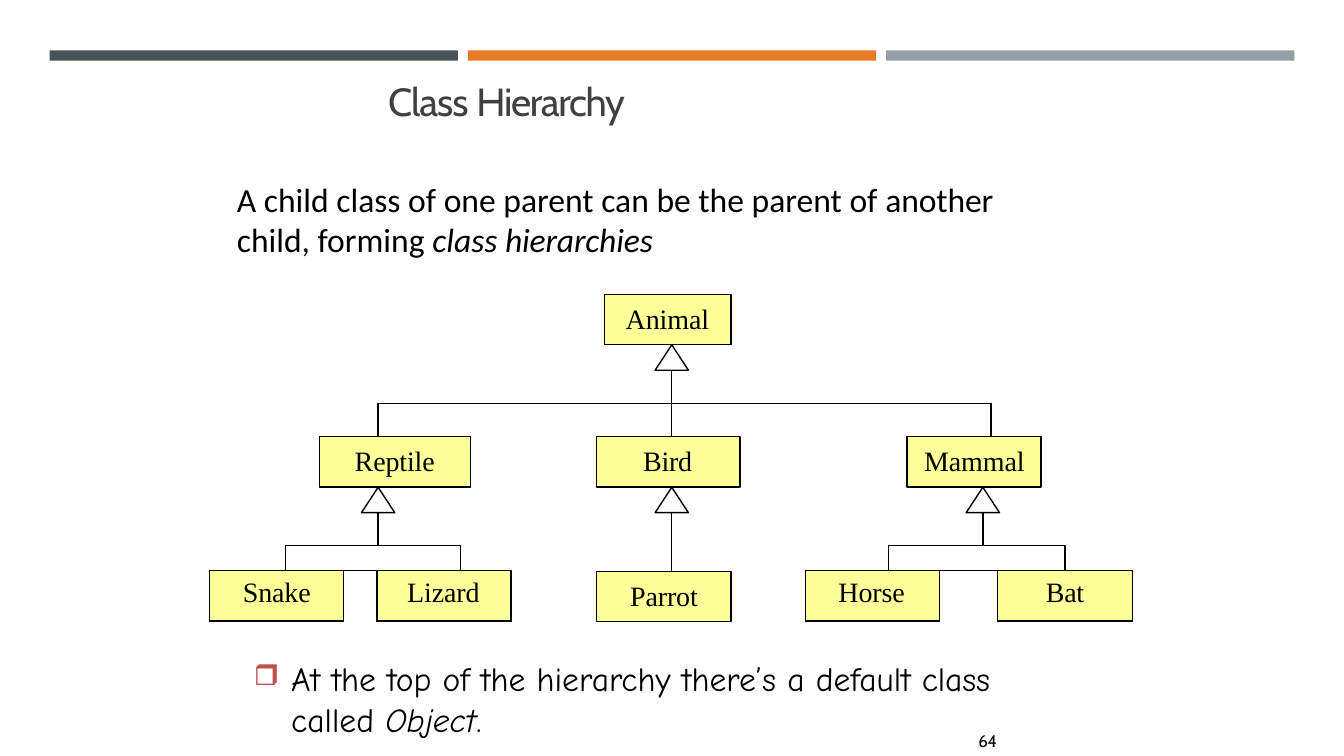
"""Build a slide that shows a class hierarchy of animals."""
from dataclasses import dataclass, field

from lxml import etree
from pptx import Presentation
from pptx.dml.color import RGBColor
from pptx.enum.shapes import MSO_CONNECTOR as Link, MSO_SHAPE as Kind
from pptx.enum.text import MSO_ANCHOR as Anchor, MSO_AUTO_SIZE as Auto, PP_ALIGN as Align
from pptx.oxml.ns import qn
from pptx.util import Cm, Pt

BLACK = RGBColor(0x00, 0x00, 0x00)
WHITE = RGBColor(0xFF, 0xFF, 0xFF)
GREY = RGBColor(0x40, 0x40, 0x40)
YELLOW = RGBColor(0xFF, 0xFF, 0x99)
RED = RGBColor(0xC0, 0x50, 0x4D)
BARS = (RGBColor(0x46, 0x52, 0x57), RGBColor(0xE7, 0x79, 0x29), RGBColor(0x94, 0x9F, 0xA7))
PLAIN = "{2D5ABB26-0587-4C30-8999-92F81FD0307C}"
EDGES = {"left": "a:lnL", "right": "a:lnR", "top": "a:lnT", "bottom": "a:lnB"}


@dataclass
class Style:
    font: str
    size: float
    color: RGBColor = BLACK


@dataclass
class Run:
    text: str
    space: float = 0
    slant: bool = False


@dataclass
class Para:
    runs: list[Run]
    indent: float = 0
    before: float = 0
    align: Align = Align.LEFT
    bullet: str = ""


@dataclass
class Node:
    text: str
    left: float
    top: float
    width: float
    indent: float
    space: float = -0.1


@dataclass
class Arrow:
    x: float
    top: float
    length: float


@dataclass
class Pair:
    left: float
    cols: list[float]
    paras: list[Para] = field(default_factory=list)


TIMES = Style("Times New Roman", 20)
NODES = [
    Node("Animal", 15.24, 7.42, 3.18, 0.53),
    Node("Reptile", 8.05, 11, 3.81, 0.89),
    Node("Bird", 15.04, 11, 3.61, 1.17, -0.2),
    Node("Mammal", 22.86, 11, 3.38, 0.43),
    Node("Parrot", 15.04, 14.4, 3.38, 0.84),
]
ARROWS = [Arrow(16.93, 8.69, 2.11), Arrow(16.93, 12.28, 2.11),
          Arrow(24.77, 12.28, 1.47), Arrow(9.53, 12.28, 1.47)]
DROPS = (9.53, 16.93, 24.97)
PAIRS = [
    Pair(5.28, [1.91, 1.47, 0.84, 2.11, 1.27],
         [Para([Run("Snake", -0.1)], 0.84, 5.4), Para([Run("Lizard", -0.1)], 0.76, 5.4)]),
    Pair(20.29, [2.11, 1.27, 1.47, 1.7, 1.7],
         [Para([Run("Horse", -0.1)], 0.84, 5.4),
          Para([Run("Bat", -0.2)], 0, 5.4, Align.CENTER)]),
]


def write(frame, paras: list[Para], style: Style) -> None:
    for i, para in enumerate(paras):
        line = frame.paragraphs[0] if i == 0 else frame.add_paragraph()
        line.alignment = para.align
        line.space_before = Pt(para.before)
        props = line._p.get_or_add_pPr()
        props.set("marL", str(Cm(para.indent)))
        props.set("indent", str(Cm(-0.94 if para.bullet else 0)))
        if para.bullet:
            tint = etree.SubElement(props, qn("a:buClr"))
            etree.SubElement(tint, qn("a:srgbClr"), val=str(RED))
            etree.SubElement(props, qn("a:buSzPct"), val="85000")
            etree.SubElement(props, qn("a:buChar"), char=para.bullet)
        for part in para.runs:
            run = line.add_run()
            run.text = part.text
            looks = {"name": style.font, "size": Pt(style.size), "italic": part.slant, "bold": False}
            for key, value in looks.items():
                setattr(run.font, key, value)
            run.font.color.rgb = style.color
            run._r.get_or_add_rPr().set("spc", str(round(part.space * 100)))


def set_frame(frame, top: float) -> None:
    looks = {"margin_left": 0, "margin_right": 0, "margin_bottom": 0, "margin_top": Cm(top),
             "word_wrap": True, "auto_size": Auto.NONE, "vertical_anchor": Anchor.TOP}
    for key, value in looks.items():
        setattr(frame, key, value)


def add_text(slide, place: tuple, paras: list[Para], style: Style) -> None:
    box = slide.shapes.add_textbox(*map(Cm, place))
    set_frame(box.text_frame, 0.03)
    write(box.text_frame, paras, style)


def add_form(slide, kind: Kind, place: tuple, fill: RGBColor, edge: bool = True):
    form = slide.shapes.add_shape(kind, *map(Cm, place))
    form.shadow.inherit = False
    form.fill.solid()
    form.fill.fore_color.rgb = fill
    if edge:
        form.line.color.rgb = BLACK
        form.line.width = Pt(1)
    else:
        form.line.fill.background()
    return form


def add_line(slide, *ends: float) -> None:
    line = slide.shapes.add_connector(Link.STRAIGHT, *map(Cm, ends))
    line.line.color.rgb = BLACK
    line.line.width = Pt(1)
    etree.SubElement(line._element.spPr, qn("a:effectLst"))


def add_node(slide, node: Node) -> None:
    form = add_form(slide, Kind.RECTANGLE, (node.left, node.top, node.width, 1.27), YELLOW)
    set_frame(form.text_frame, 0.18)
    write(form.text_frame, [Para([Run(node.text, node.space)], node.indent, 5.3)], TIMES)


def add_arrow(slide, arrow: Arrow) -> None:
    add_line(slide, arrow.x, arrow.top, arrow.x, arrow.top + arrow.length)
    place = (arrow.x - 0.42, arrow.top, 0.84, 0.64)
    add_form(slide, Kind.ISOSCELES_TRIANGLE, place, WHITE)


def set_edges(cell, sides: str) -> None:
    props = cell._tc.get_or_add_tcPr()
    for i, (side, tag) in enumerate(EDGES.items()):
        line = etree.Element(qn(tag), w=str(Pt(1)))
        if side in sides.split():
            fill = etree.SubElement(line, qn("a:solidFill"))
            etree.SubElement(fill, qn("a:srgbClr"), val=str(BLACK))
        else:
            etree.SubElement(line, qn("a:noFill"))
        props.insert(i, line)


def add_pair(slide, pair: Pair) -> None:
    place = (pair.left, 13.74, sum(pair.cols), 1.91)
    grid = slide.shapes.add_table(2, 5, *map(Cm, place)).table
    grid._tbl.tblPr.find(qn("a:tableStyleId")).text = PLAIN
    grid.first_row = grid.horz_banding = False
    for col, width in zip(grid.columns, pair.cols):
        col.width = Cm(width)
    for row, height in zip(grid.rows, (0.64, 1.27)):
        row.height = Cm(height)
    for cell in grid.iter_cells():
        cell.margin_left = cell.margin_right = cell.margin_top = cell.margin_bottom = 0
        cell.fill.background()
    grid.cell(0, 1).merge(grid.cell(0, 3))
    sides = {(0, 0): "right bottom", (0, 1): "left top right bottom", (0, 2): "top bottom",
             (0, 3): "top right bottom", (0, 4): "left bottom", (1, 2): "left right top"}
    for spot, para in zip((0, 3), pair.paras):
        cell = grid.cell(1, spot)
        cell.merge(grid.cell(1, spot + 1))
        cell.margin_top = Cm(0.18)
        cell.fill.solid()
        cell.fill.fore_color.rgb = YELLOW
        write(cell.text_frame, [para], TIMES)
        sides |= {(1, spot): "left top right bottom", (1, spot + 1): "top right bottom"}
    for spot, names in sides.items():
        cell = grid.cell(*spot)
        set_edges(cell, names)
        if not cell.text:
            etree.SubElement(cell.text_frame.paragraphs[0]._p, qn("a:endParaRPr"), sz="800")


def main() -> None:
    deck = Presentation()
    deck.slide_width, deck.slide_height = Cm(33.87), Cm(19.05)
    slide = deck.slides.add_slide(deck.slide_layouts[5])
    for i, color in enumerate(BARS):
        add_form(slide, Kind.RECTANGLE, (1.25 + 10.54 * i, 1.27, 10.29, 0.26), color, False)
    title = slide.shapes.title
    for key, value in {"left": 3.48, "top": 1.93, "width": 29.34, "height": 1.24}.items():
        setattr(title, key, Cm(value))
    set_frame(title.text_frame, 0.03)
    write(title.text_frame, [Para([Run("Class ", -0.7), Run("Hierarchy", -0.9)], 6.3, 0.9)],
          Style("Cabin", 28, GREY))
    add_text(slide, (5.94, 4.47, 19.2, 2.11), [
        Para([Run("A child class of one parent can be the parent of "), Run("another", -0.1)], 0.03, 1),
        Para([Run("child, forming "), Run("class ", 0, True), Run("hierarchies", -0.1, True)], 0.03, 0.1),
    ], Style("Calibri", 24))
    for node in NODES:
        add_node(slide, node)
    for pair in PAIRS:
        add_pair(slide, pair)
    add_line(slide, DROPS[0], 10.16, DROPS[-1], 10.16)
    for x in DROPS:
        add_line(slide, x, 10.16, x, 11)
    for arrow in ARROWS:
        add_arrow(slide, arrow)
    add_text(slide, (6.35, 16.56, 21, 2.11), [
        Para([Run("At the top of the hierarchy there’s a default "), Run("class", -0.1)], 0.99, 1, bullet="❒"),
        Para([Run("called "), Run("Object", -0.1, True), Run(".", -0.1)], 0.99),
    ], Style("Comic Neue", 24))
    add_text(slide, (24.56, 18.39, 0.71, 0.58), [Para([Run("64", -0.2)], 0.1, 1)], Style("Cabin", 12))
    deck.save("out.pptx")


if __name__ == "__main__":
    main()
